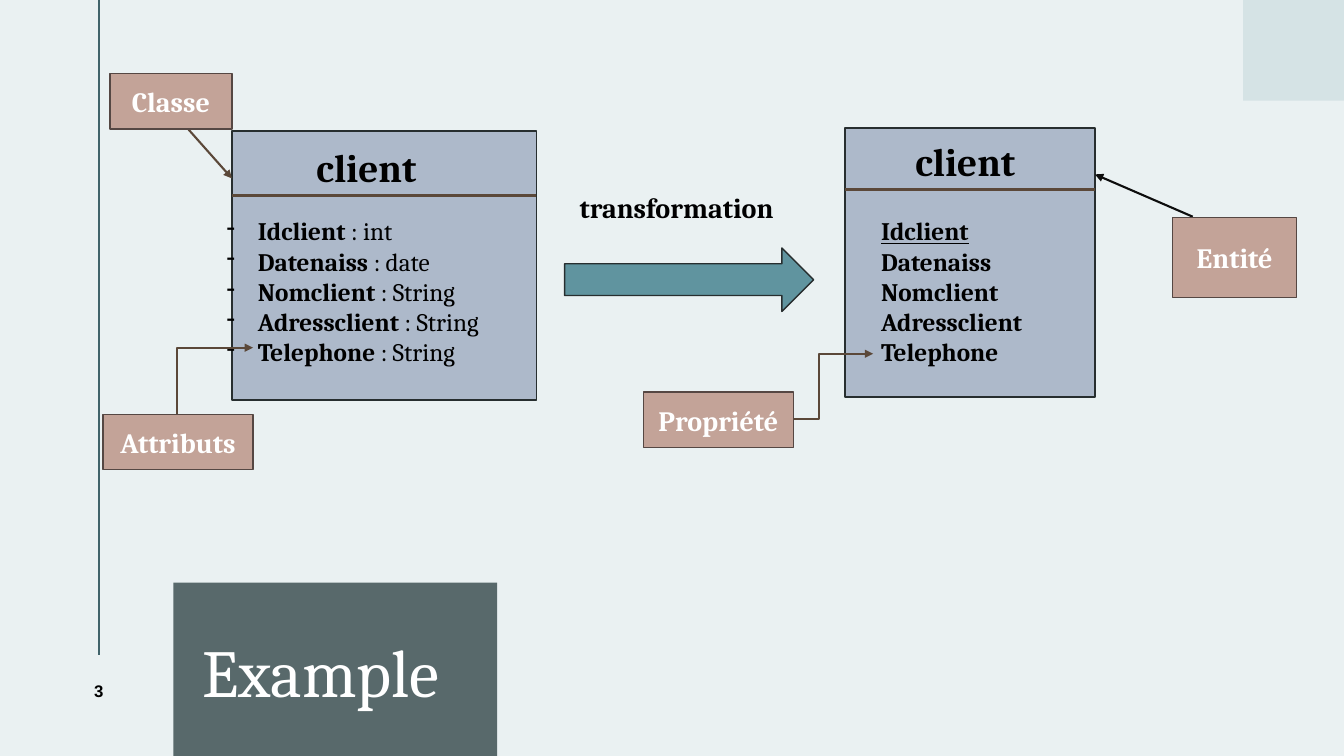
from lxml import etree
from pptx import Presentation
from pptx.dml.color import RGBColor
from pptx.enum.shapes import MSO_CONNECTOR, MSO_SHAPE
from pptx.enum.text import MSO_ANCHOR, MSO_AUTO_SIZE, PP_ALIGN
from pptx.oxml import parse_xml
from pptx.oxml.ns import nsdecls, qn
from pptx.util import Inches, Pt

BACKGROUND = RGBColor(0xEA, 0xF1, 0xF2)
CORNER = RGBColor(0xD5, 0xE3, 0xE5)
RULE = RGBColor(0x40, 0x63, 0x6A)
SLATE = RGBColor(0x58, 0x69, 0x6B)
BLUE = RGBColor(0xAD, 0xB9, 0xCA)
TEAL = RGBColor(0x60, 0x94, 0x9F)
OUTLINE = RGBColor(0x27, 0x2E, 0x2F)
ROSE = RGBColor(0xC3, 0xA3, 0x98)
ROSE_LINE = RGBColor(0x55, 0x47, 0x43)
BROWN = RGBColor(0x5B, 0x48, 0x39)
INK = RGBColor(0x0D, 0x0D, 0x0D)
BLACK = RGBColor(0, 0, 0)
WHITE = RGBColor(0xFF, 0xFF, 0xFF)

ATTRIBUTES = [("Idclient", "int"), ("Datenaiss", "date"), ("Nomclient", "String"),
              ("Adressclient", "String"), ("Telephone", "String")]
LABELS = [("Entité", 11.63, 2.16, 1.23, 0.79), ("Classe", 1.09, 0.73, 1.21, 0.55),
          ("Attributs", 1.02, 4.11, 1.49, 0.55), ("Propriété", 6.38, 3.89, 1.49, 0.55)]


def format_span(span, size, color=BLACK, bold=True, name="Cambria"):
    span.font.name = name
    span.font.size = Pt(size)
    span.font.bold = bold
    span.font.color.rgb = color


def add_block(page, left, top, width, height, fill, line=None, kind=MSO_SHAPE.RECTANGLE):
    block = page.shapes.add_shape(kind, Inches(left), Inches(top), Inches(width), Inches(height))
    block.shadow.inherit = False
    block.fill.solid()
    block.fill.fore_color.rgb = fill
    if line is None:
        block.line.fill.background()
    else:
        block.line.color.rgb = line
        block.line.width = Pt(1)
    return block


def add_label(page, text, left, top, width, height):
    frame = add_block(page, left, top, width, height, ROSE, ROSE_LINE).text_frame
    frame.text = text
    frame.vertical_anchor = MSO_ANCHOR.MIDDLE
    para = frame.paragraphs[0]
    para.alignment = PP_ALIGN.CENTER
    format_span(para.runs[0], 20, WHITE)


def add_text(page, lines, left, top, width, height, size, wrap=False):
    box = page.shapes.add_textbox(Inches(left), Inches(top), Inches(width), Inches(height))
    frame = box.text_frame
    frame.text = "\n".join(lines)
    frame.word_wrap = wrap
    frame.auto_size = MSO_AUTO_SIZE.SHAPE_TO_FIT_TEXT
    for para in frame.paragraphs:
        format_span(para.runs[0], size)
    return frame


def add_line(page, start, end, color=BROWN, arrow=None, kind=MSO_CONNECTOR.STRAIGHT):
    line = page.shapes.add_connector(kind, *[Inches(value) for value in (*start, *end)])
    line.line.color.rgb = color
    line.line.width = Pt(1.5)
    if arrow:
        etree.SubElement(line.line._get_or_add_ln(), qn(f"a:{arrow}"), type="triangle")
    etree.SubElement(line.element.spPr, qn("a:effectLst"))
    return line


def add_elbow(page, start, end, arrow, preset, bend=None):
    elbow = add_line(page, start, end, arrow=arrow, kind=MSO_CONNECTOR.ELBOW)
    geometry = elbow.element.spPr.find(qn("a:prstGeom"))
    geometry.set("prst", preset)
    if bend is not None:
        guides = geometry.find(qn("a:avLst"))
        etree.SubElement(guides, qn("a:gd"), name="adj1", fmla=f"val {round(bend * 100000)}")


def add_card(page, left, top, width, height, divider, heading_left):
    add_block(page, left, top, width, height, BLUE, OUTLINE)
    add_line(page, (left, divider), (left + width, divider))
    add_text(page, ["client"], heading_left, divider - 0.57, 1.29, 0.57, 28)


def add_attributes(page):
    names = [name for name, kind in ATTRIBUTES]
    frame = add_text(page, names, 2.15, 2.09, 3.14, 1.62, 18, wrap=True)
    for para, (name, kind) in zip(frame.paragraphs, ATTRIBUTES):
        span = para.add_run()
        span.text = f" : {kind}"
        format_span(span, 18, bold=False)
        properties = para._p.get_or_add_pPr()
        properties.set("marL", str(Inches(0.31)))
        properties.set("indent", str(-Inches(0.31)))
        etree.SubElement(properties, qn("a:buChar"), char="-")


def add_properties(page):
    names = [name for name, kind in ATTRIBUTES]
    frame = add_text(page, names, 8.64, 2.09, 1.79, 1.62, 18)
    frame.paragraphs[0].runs[0].font.underline = True


def add_page_number(deck, page, number):
    deck.element.set("firstSlideNum", str(number))
    box = page.shapes.add_textbox(Inches(0.45), Inches(6.5), Inches(1.06), Inches(0.71))
    box.text_frame.vertical_anchor = MSO_ANCHOR.MIDDLE
    box.text_frame.word_wrap = True
    para = box.text_frame.paragraphs[0]
    para.alignment = PP_ALIGN.CENTER
    para._p.append(parse_xml(
        f'<a:fld {nsdecls("a")} id="{{B6F15528-21DE-4FAA-801E-634DDDAF4B2B}}" type="slidenum">'
        f'<a:rPr lang="fr-FR" sz="1200" b="1" spc="150"><a:solidFill><a:srgbClr val="{BLACK}"/>'
        f'</a:solidFill><a:latin typeface="Arial"/></a:rPr><a:t>{number}</a:t></a:fld>'))


def add_title(page, text):
    panel = add_block(page, 1.72, 5.78, 3.21, 1.72, SLATE)
    title = page.shapes.title
    panel.element.addnext(title.element)
    title.left, title.top = Inches(1.91), Inches(6.2)
    title.width, title.height = Inches(2.82), Inches(0.91)
    frame = title.text_frame
    frame.text = text
    frame.word_wrap = False
    frame.auto_size = MSO_AUTO_SIZE.SHAPE_TO_FIT_TEXT
    frame.vertical_anchor = MSO_ANCHOR.TOP
    para = frame.paragraphs[0]
    para.alignment = PP_ALIGN.LEFT
    format_span(para.runs[0], 48, WHITE, bold=False)


def main():
    deck = Presentation()
    deck.slide_width, deck.slide_height = Inches(13.33), Inches(7.5)
    page = deck.slides.add_slide(deck.slide_layouts[5])
    page.background.fill.solid()
    page.background.fill.fore_color.rgb = BACKGROUND

    add_line(page, (0.98, 0), (0.98, 6.5), RULE)
    add_block(page, 12.33, 0, 1, 1, CORNER)
    add_page_number(deck, page, 3)
    add_title(page, "Example")

    add_card(page, 2.3, 1.3, 3.02, 2.67, 1.94, 3.04)
    add_attributes(page)
    add_card(page, 8.38, 1.27, 2.48, 2.67, 1.88, 8.98)
    add_properties(page)

    add_block(page, 5.6, 2.46, 2.47, 0.63, TEAL, OUTLINE, MSO_SHAPE.RIGHT_ARROW)
    add_text(page, ["transformation"], 5.65, 1.84, 2.26, 0.44, 20)

    add_line(page, (11.83, 2.15), (10.86, 1.73), INK, "tailEnd")
    add_line(page, (1.83, 1.24), (2.3, 1.77), arrow="tailEnd")
    add_elbow(page, (2.51, 3.45), (1.76, 4.11), "headEnd", "bentConnector2")
    add_elbow(page, (7.87, 4.16), (8.66, 3.51), "tailEnd", "bentConnector3", 0.32)
    for label in LABELS:
        add_label(page, *label)

    deck.save("out.pptx")


if __name__ == "__main__":
    main()
